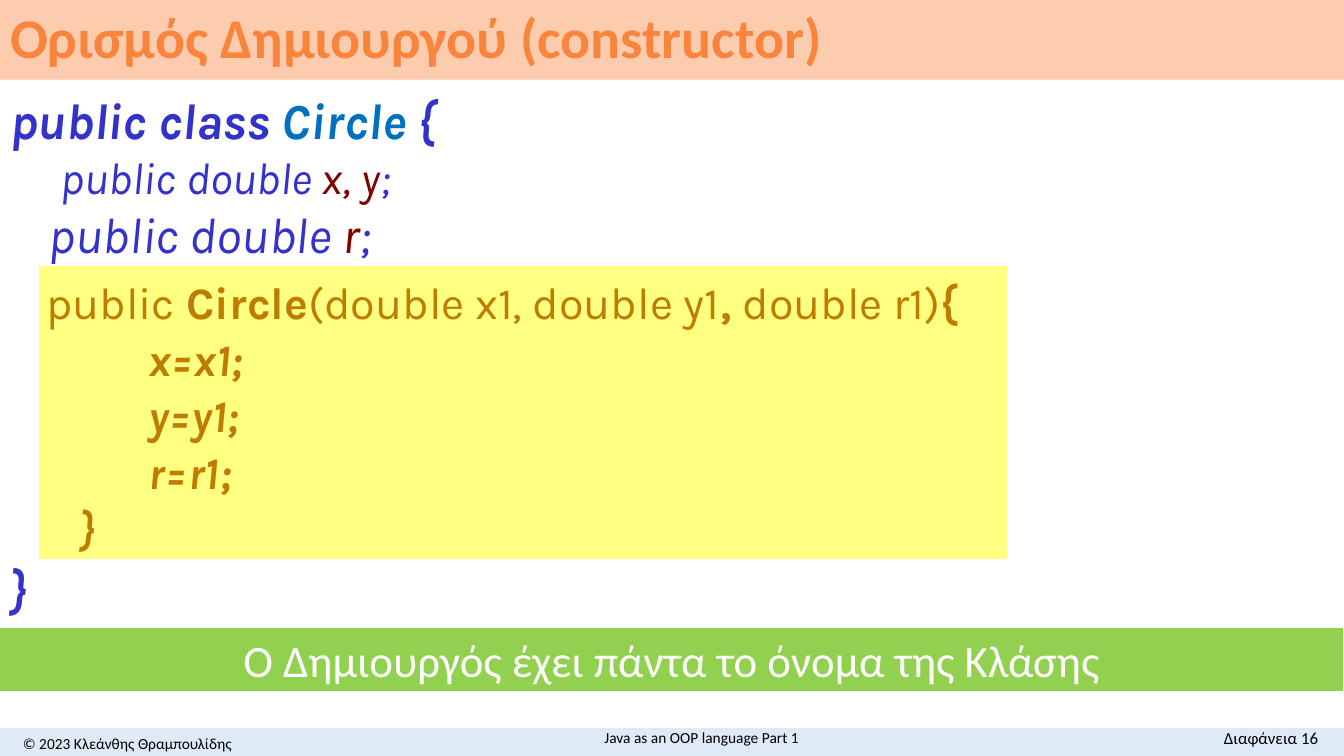
from dataclasses import dataclass
from typing import NamedTuple, Optional

import lxml.etree
import pptx
import pptx.dml.color
import pptx.enum.shapes
import pptx.enum.text
import pptx.oxml.ns
import pptx.util

Cm = pptx.util.Cm
Pt = pptx.util.Pt
ALIGN = pptx.enum.text.PP_ALIGN
ANCHOR = pptx.enum.text.MSO_ANCHOR
qn = pptx.oxml.ns.qn


@dataclass(frozen=True)
class Theme:
    text_font: str = "Calibri"
    code_font: str = "Karla"
    title_fill: str = "FDCBAD"
    title_text: str = "F9853D"
    keyword: str = "3333CC"
    class_name: str = "0070C0"
    member: str = "800000"
    highlight: str = "FFFF00"
    banner: str = "92D050"
    footer_fill: str = "DEEBF7"
    black: str = "000000"
    white: str = "FFFFFF"
    title_size: float = 40
    code_large: float = 36
    code_size: float = 32
    banner_size: float = 32
    footer_size: float = 11
    number_size: float = 12


THEME = Theme()


class Box(NamedTuple):
    left: float
    top: float
    width: float
    height: float


class Token(NamedTuple):
    text: str
    color: str = THEME.member
    bold: bool = False
    italic: bool = False


class CodeLine(NamedTuple):
    tokens: list[Token]
    indent: float = 0
    size: float = THEME.code_size
    spacing: float = 1.05
    before: float = 0
    level: int = 0


class FooterText(NamedTuple):
    text: str
    box: Box
    size: float
    align: ALIGN
    anchor: ANCHOR


SLIDE = Box(0, 0, 33.87, 19.05)
TITLE = Box(0, 0, SLIDE.width, 2.01)
CODE = Box(0, 2.11, 25.4, 13.51)
HIGHLIGHT = Box(0.97, 6.68, 24.43, 7.42)
BANNER = Box(0, 15.8, SLIDE.width, 1.63)
FOOTER = Box(0, 18.34, SLIDE.width, 0.76)

FOOTER_TEXTS = [
    FooterText("© 2023 Κλεάνθης Θραμπουλίδης", Box(0, 18.34, 6.43, 0.76),
               THEME.footer_size, ALIGN.CENTER, ANCHOR.MIDDLE),
    FooterText("Διαφάνεια 16", Box(28.24, 18.21, 5.23, 0.76),
               THEME.number_size, ALIGN.RIGHT, ANCHOR.TOP),
    FooterText("Java as an OOP language Part 1", Box(9.19, 18.21, 16.99, 0.76),
               THEME.footer_size, ALIGN.CENTER, ANCHOR.MIDDLE),
]


def field(names: str, indent: float, size: float, level: int = 0) -> CodeLine:
    return CodeLine([Token("public double ", THEME.keyword, italic=True),
                     Token(names, italic=True),
                     Token(";", THEME.keyword, italic=True)],
                    indent, size, 1, level=level)


def statement(code: str, indent: float) -> CodeLine:
    return CodeLine([Token(code, bold=True, italic=True)], indent)


CODE_LINES = [
    CodeLine([Token("public class ", THEME.keyword, True, True),
              Token("Circle", THEME.class_name, True, True),
              Token(" {", THEME.keyword, True, True)],
             size=THEME.code_large, spacing=1),
    field("x, y", 1.27, THEME.code_size, level=1),
    field("r", 0.97, THEME.code_large),
    CodeLine([Token("public"), Token(" Circle", bold=True),
              Token("(double x1, double y1"), Token(", ", bold=True),
              Token("double r1)"), Token("{", bold=True)],
             0.91, before=6.4),
    *(statement(f"{name}={name}1;", 3.5) for name in "xyr"),
    statement("}", 1.78),
    CodeLine([Token("}", THEME.keyword, True, True)], size=THEME.code_large),
]


def rgb(color: str) -> pptx.dml.color.RGBColor:
    return pptx.dml.color.RGBColor.from_string(color)


def place(shape, box: Box) -> None:
    shape.left, shape.top, shape.width, shape.height = map(Cm, box)


def add_run(paragraph, token: Token, size: float, font: str) -> None:
    run = paragraph.add_run()
    run.text = token.text
    run.font.name, run.font.size = font, Pt(size)
    run.font.bold, run.font.italic = token.bold, token.italic
    run.font.color.rgb = rgb(token.color)


def prepare_frame(shape, anchor: ANCHOR):
    frame = shape.text_frame
    frame.word_wrap = True
    frame.auto_size = pptx.enum.text.MSO_AUTO_SIZE.NONE
    frame.vertical_anchor = anchor
    return frame


def write_line(shape, token: Token, size: float, align: ALIGN, anchor: ANCHOR):
    paragraph = prepare_frame(shape, anchor).paragraphs[0]
    paragraph.alignment = align
    add_run(paragraph, token, size, THEME.text_font)
    return paragraph


def add_band(slide, box: Box, color: str, line_width: Optional[float] = None):
    """Add a filled rectangle, with a white outline if a width is given."""
    band = slide.shapes.add_shape(
        pptx.enum.shapes.MSO_SHAPE.RECTANGLE, *map(Cm, box))
    band.shadow.inherit = False
    band.fill.solid()
    band.fill.fore_color.rgb = rgb(color)
    if line_width is None:
        band.line.fill.background()
    else:
        band.line.color.rgb = rgb(THEME.white)
        band.line.width = Pt(line_width)
    return band


def set_opacity(shape, percent: int) -> None:
    fill = shape._element.spPr.find(qn("a:solidFill"))
    alpha = lxml.etree.SubElement(fill.find(qn("a:srgbClr")), qn("a:alpha"))
    alpha.set("val", str(percent * 1000))


def write_code(body) -> None:
    frame = prepare_frame(body, ANCHOR.TOP)
    for number, line in enumerate(CODE_LINES):
        paragraph = frame.add_paragraph() if number else frame.paragraphs[0]
        properties = paragraph._p.get_or_add_pPr()
        properties.set("marL", str(Cm(line.indent)))
        properties.set("indent", "0")
        lxml.etree.SubElement(properties, qn("a:buNone"))
        paragraph.level = line.level
        paragraph.alignment = ALIGN.LEFT
        paragraph.line_spacing = line.spacing
        paragraph.space_before = Pt(line.before)
        for token in line.tokens:
            add_run(paragraph, token, line.size, THEME.code_font)


def main() -> None:
    deck = pptx.Presentation()
    deck.slide_width, deck.slide_height = Cm(SLIDE.width), Cm(SLIDE.height)
    slide = deck.slides.add_slide(deck.slide_layouts[1])

    title, body = slide.shapes.title, slide.placeholders[1]
    place(title, TITLE)
    title.fill.solid()
    title.fill.fore_color.rgb = rgb(THEME.title_fill)
    heading = Token("Ορισμός Δημιουργού (constructor)", THEME.title_text, True)
    write_line(title, heading, THEME.title_size, ALIGN.LEFT,
               ANCHOR.MIDDLE).line_spacing = 0.9

    place(body, CODE)
    write_code(body)
    set_opacity(add_band(slide, HIGHLIGHT, THEME.highlight, 1), 49)

    banner = add_band(slide, BANNER, THEME.banner, 0.75)
    rule = Token("Ο Δημιουργός έχει πάντα το όνομα της Κλάσης", THEME.white)
    write_line(banner, rule, THEME.banner_size, ALIGN.CENTER, ANCHOR.MIDDLE)

    add_band(slide, FOOTER, THEME.footer_fill)
    for item in FOOTER_TEXTS:
        label = slide.shapes.add_textbox(*map(Cm, item.box))
        write_line(label, Token(item.text, THEME.black), item.size,
                   item.align, item.anchor)

    deck.save("out.pptx")


if __name__ == "__main__":
    main()
